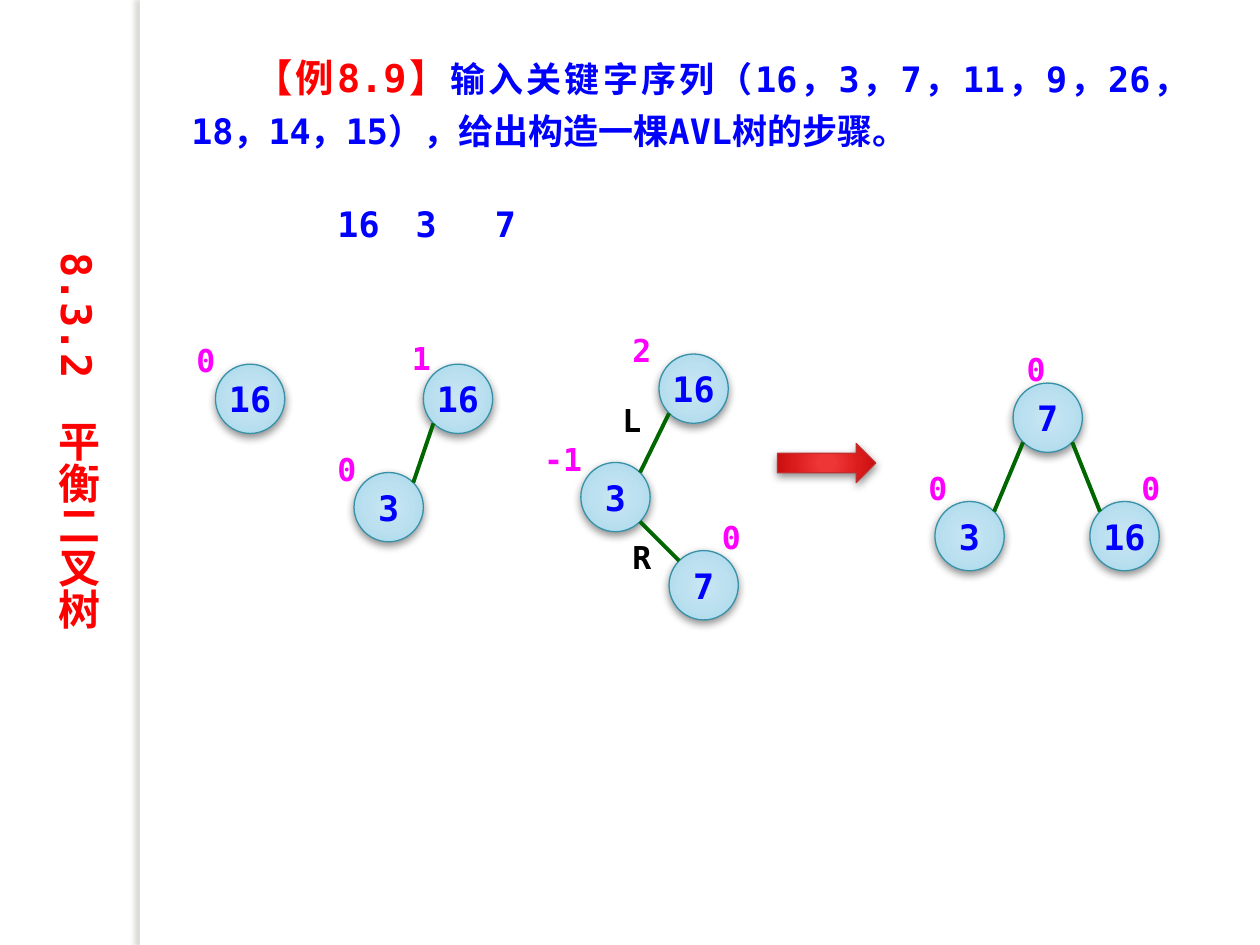
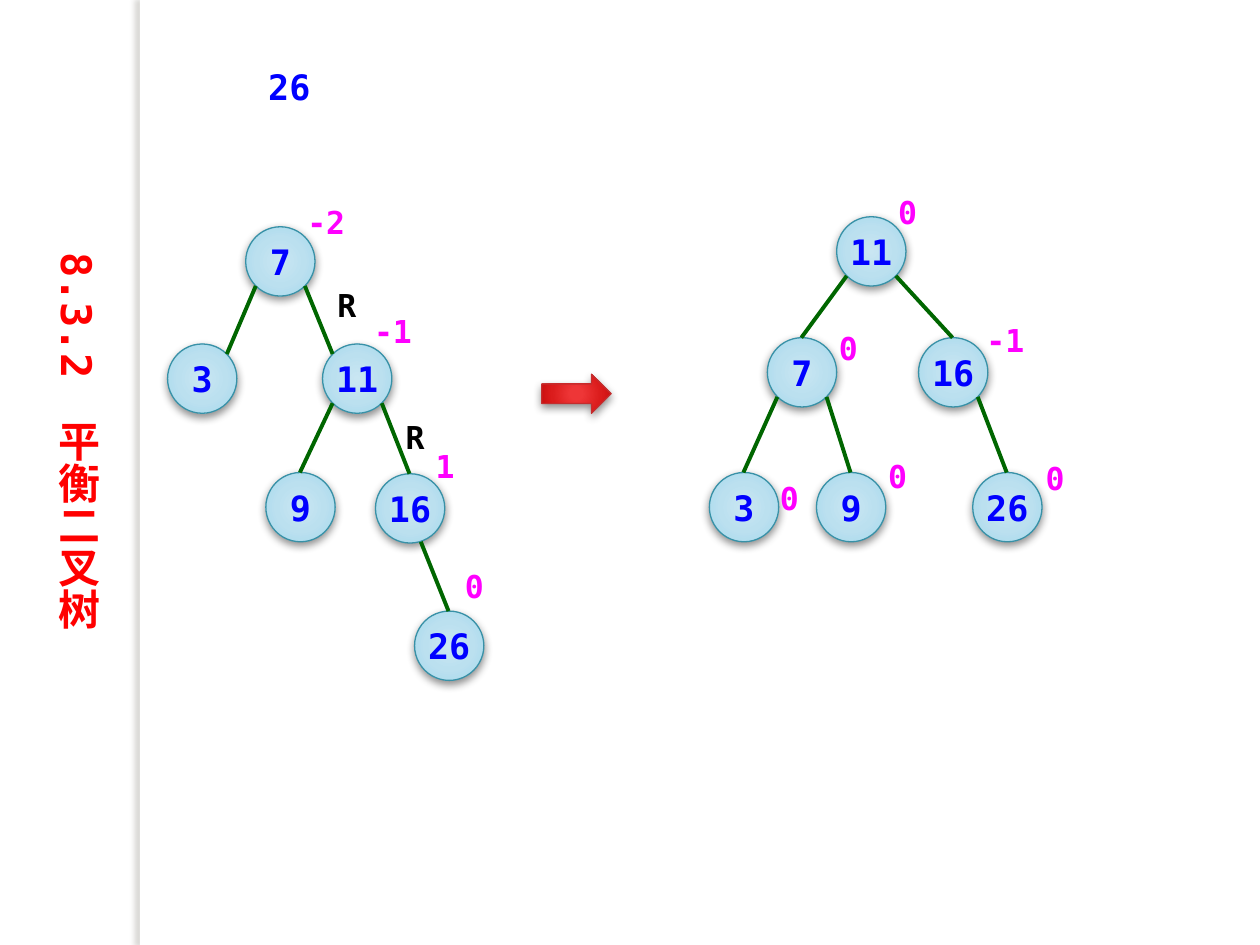
from dataclasses import dataclass

from lxml.etree import SubElement
from pptx import Presentation
from pptx.dml.color import RGBColor
from pptx.enum.shapes import MSO_CONNECTOR as Link, MSO_SHAPE as Preset
from pptx.enum.text import MSO_ANCHOR as Anchor, MSO_AUTO_SIZE as Fit, PP_ALIGN as Align
from pptx.oxml.ns import qn
from pptx.util import Pt

EMU_PER_PX = 9144
NODE = 55
PORTS = {
    "top": (27, 0), "foot": (36, 54),
    "top left": (8, 8), "top right": (47, 8),
    "low left": (8, 47), "low right": (47, 47),
}


@dataclass(frozen=True)
class Theme:
    font: str = "DejaVu Sans Mono"
    key: str = "0000FF"
    balance: str = "FF00FF"
    accent: str = "FF0000"
    turn: str = "000000"
    edge: str = "006600"
    paper: str = "FFFFFF"
    node_line: str = "3891A7"
    arrow_line: str = "C32D2E"
    node_fill: tuple = ((0, "C9E6F2"), (50, "BBE0EF"), (97, "A4D8ED"), (100, "9BD7EE"))
    arrow_fill: tuple = ((0, "EF3737"), (15, "EE3637"), (62, "DB1C1C"),
                         (97, "C70C0D"), (100, "C30001"))
    band_shadow: tuple = ("736F63", 25, 3, 3, 180)
    shape_shadow: tuple = ("000000", 43, 5, 2, 90)
    title_size: int = 24
    example_size: int = 22
    key_size: int = 20
    balance_size: int = 18
    edge_width: float = 2.25
    outline_width: float = 0.75


def px(*lengths):
    return [length * EMU_PER_PX for length in lengths]


def percent_color(parent, color, alpha=None):
    node = SubElement(parent, qn("a:srgbClr"), val=color)
    if alpha is not None:
        SubElement(node, qn("a:alpha"), val=str(alpha * 1000))


class Deck:
    def __init__(self, theme):
        self.theme = theme
        self.prs = Presentation()
        self.prs.slide_width, self.prs.slide_height = px(1000, 750)
        self.slide = None

    def new_slide(self, section):
        self.slide = self.prs.slides.add_slide(self.prs.slide_layouts[5])
        self.band()
        self.title(section)

    def style(self, font, size, color):
        font.name = self.theme.font
        font.size = Pt(size)
        font.bold = True
        font.color.rgb = RGBColor.from_string(color)

    def shadow(self, shape, color, alpha, blur, distance, angle):
        shape.shadow.inherit = False
        effects = shape._element.spPr.find(qn("a:effectLst"))
        outer = SubElement(effects, qn("a:outerShdw"), blurRad=str(Pt(blur)),
                           dist=str(Pt(distance)), dir=str(angle * 60000),
                           algn="ctr", rotWithShape="0")
        percent_color(outer, color, alpha)

    def glow_fill(self, shape, stops):
        shape.fill.background()
        properties = shape._element.spPr
        plain = properties.find(qn("a:noFill"))
        gradient = SubElement(properties, qn("a:gradFill"), rotWithShape="1")
        stop_list = SubElement(gradient, qn("a:gsLst"))
        for position, color in stops:
            percent_color(SubElement(stop_list, qn("a:gs"), pos=str(position * 1000)), color)
        circle = SubElement(gradient, qn("a:path"), path="circle")
        SubElement(circle, qn("a:fillToRect"), l="50000", t="50000", r="50000", b="50000")
        properties.replace(plain, gradient)

    def band(self):
        band = self.slide.shapes.add_shape(Preset.RECTANGLE, *px(111, 0, 8, 750))
        band.fill.solid()
        band.fill.fore_color.rgb = RGBColor.from_string(self.theme.paper)
        band.line.fill.background()
        self.shadow(band, *self.theme.band_shadow)

    def title(self, section):
        title = self.slide.shapes.title
        title.left, title.top, title.width, title.height = px(31, 195, 61, 344)
        frame = title.text_frame
        frame.text = section
        frame.word_wrap = True
        frame.auto_size = Fit.SHAPE_TO_FIT_TEXT
        frame.vertical_anchor = Anchor.TOP
        frame._txBody.bodyPr.set("vert", "eaVert")
        paragraph = frame.paragraphs[0]
        paragraph.alignment = Align.CENTER
        self.style(paragraph.font, self.theme.title_size, self.theme.accent)

    def text_frame(self, *box):
        frame = self.slide.shapes.add_textbox(*px(*box)).text_frame
        frame.word_wrap = True
        frame.auto_size = Fit.SHAPE_TO_FIT_TEXT
        return frame

    def label(self, text, x, y, width, height, size, color):
        frame = self.text_frame(x, y, width, height)
        frame.text = text
        self.style(frame.paragraphs[0].font, size, color)

    def key(self, text, x, y):
        self.label(text, x, y, 55, 44, self.theme.key_size, self.theme.key)

    def balance(self, text, x, y, width=None):
        width = width or (31 if len(text) == 1 else 55)
        self.label(text, x, y, width, 40, self.theme.balance_size, self.theme.balance)

    def turn(self, text, x, y):
        self.label(text, x, y, 31, 40, self.theme.balance_size, self.theme.turn)

    def example(self, number, question):
        paragraph = self.text_frame(142, 31, 811, 95).paragraphs[0]
        paragraph.alignment = Align.JUSTIFY
        paragraph.line_spacing = 1.2
        paragraph._p.get_or_add_pPr().set("indent", str(Pt(36)))
        for text, size, color in (
            (number, self.theme.example_size, self.theme.accent),
            (question, self.theme.key_size, self.theme.key),
        ):
            run = paragraph.add_run()
            run.text = text
            self.style(run.font, size, color)

    def solid_shape(self, preset, box, stops, outline):
        shape = self.slide.shapes.add_shape(preset, *px(*box))
        self.glow_fill(shape, stops)
        shape.line.color.rgb = RGBColor.from_string(outline)
        shape.line.width = Pt(self.theme.outline_width)
        self.shadow(shape, *self.theme.shape_shadow)
        return shape

    def node(self, key, x, y):
        circle = self.solid_shape(Preset.OVAL, (x, y, NODE, NODE),
                                  self.theme.node_fill, self.theme.node_line)
        frame = circle.text_frame
        frame.text = str(key)
        frame.word_wrap = False
        frame.vertical_anchor = Anchor.MIDDLE
        paragraph = frame.paragraphs[0]
        paragraph.alignment = Align.CENTER
        self.style(paragraph.font, self.theme.key_size, self.theme.key)

    def arrow(self, x, y, width):
        self.solid_shape(Preset.RIGHT_ARROW, (x, y, width, 31),
                         self.theme.arrow_fill, self.theme.arrow_line)

    def edge(self, parent, exit_port, child, entry_port):
        ends = [place + offset
                for node, port in ((parent, exit_port), (child, entry_port))
                for place, offset in zip(node, PORTS[port])]
        edge = self.slide.shapes.add_connector(Link.STRAIGHT, *px(*ends))
        edge.line.color.rgb = RGBColor.from_string(self.theme.edge)
        edge.line.width = Pt(self.theme.edge_width)
        SubElement(edge._element.spPr, qn("a:effectLst"))

    def tree(self, nodes, balances, edges=()):
        for key, place in nodes.items():
            self.node(key, *place)
        for balance in balances:
            self.balance(*balance)
        for parent, exit_port, child, entry_port in edges:
            self.edge(nodes[parent], exit_port, nodes[child], entry_port)


def insert_first_keys(deck):
    deck.example("【例8.9】",
                 "输入关键字序列（16，3，7，11，9，26，18，14，15），给出构造一棵AVL树的步骤。")
    for index, key in enumerate(("16", "3", "7")):
        deck.key(key, 258 + 125 * index // 2, 156)
    deck.tree({16: (171, 289)}, [("0", 146, 266)])
    deck.tree({16: (336, 289), 3: (281, 375)},
              [("1", 317, 264), ("0", 258, 352)],
              [(16, "low left", 3, "top right")])
    deck.tree({16: (523, 281), 3: (461, 367), 7: (531, 437)},
              [("2", 492, 258), ("-1", 422, 344), ("0", 563, 406)],
              [(16, "low left", 3, "top right"), (3, "low right", 7, "top left")])
    deck.turn("L", 484, 313)
    deck.turn("R", 492, 422)
    deck.tree({7: (804, 304), 3: (742, 398), 16: (865, 398)},
              [("0", 805, 273), ("0", 727, 367, 39), ("0", 896, 367)],
              [(7, "low left", 3, "top right"), (7, "low right", 16, "top left")])
    deck.arrow(617, 352, 78)


def insert_26(deck):
    deck.key("26", 203, 47)
    deck.tree({7: (195, 180), 3: (133, 273), 11: (256, 273),
               9: (211, 375), 16: (298, 376), 26: (329, 485)},
              [("-2", 234, 156), ("-1", 287, 243), ("1", 336, 350), ("0", 359, 445)],
              [(7, "low left", 3, "top right"), (7, "low right", 11, "top left"),
               (11, "low left", 9, "top"), (11, "low right", 16, "top"),
               (16, "foot", 26, "top")])
    deck.turn("R", 258, 222)
    deck.turn("R", 312, 327)
    deck.arrow(430, 297, 55)
    deck.tree({11: (664, 172), 7: (609, 268), 16: (729, 268),
               3: (563, 375), 9: (648, 375), 26: (772, 375)},
              [("0", 703, 148, 55), ("0", 656, 256, 39), ("-1", 773, 250, 70),
               ("0", 609, 375), ("0", 695, 358), ("0", 820, 359)],
              [(11, "low left", 7, "top"), (11, "low right", 16, "top"),
               (7, "low left", 3, "top"), (7, "low right", 9, "top"),
               (16, "low right", 26, "top")])


def main():
    deck = Deck(Theme())
    for step in (insert_first_keys, insert_26):
        deck.new_slide("8.3.2　平衡二叉树")
        step(deck)
    deck.prs.save("out.pptx")


if __name__ == "__main__":
    main()
